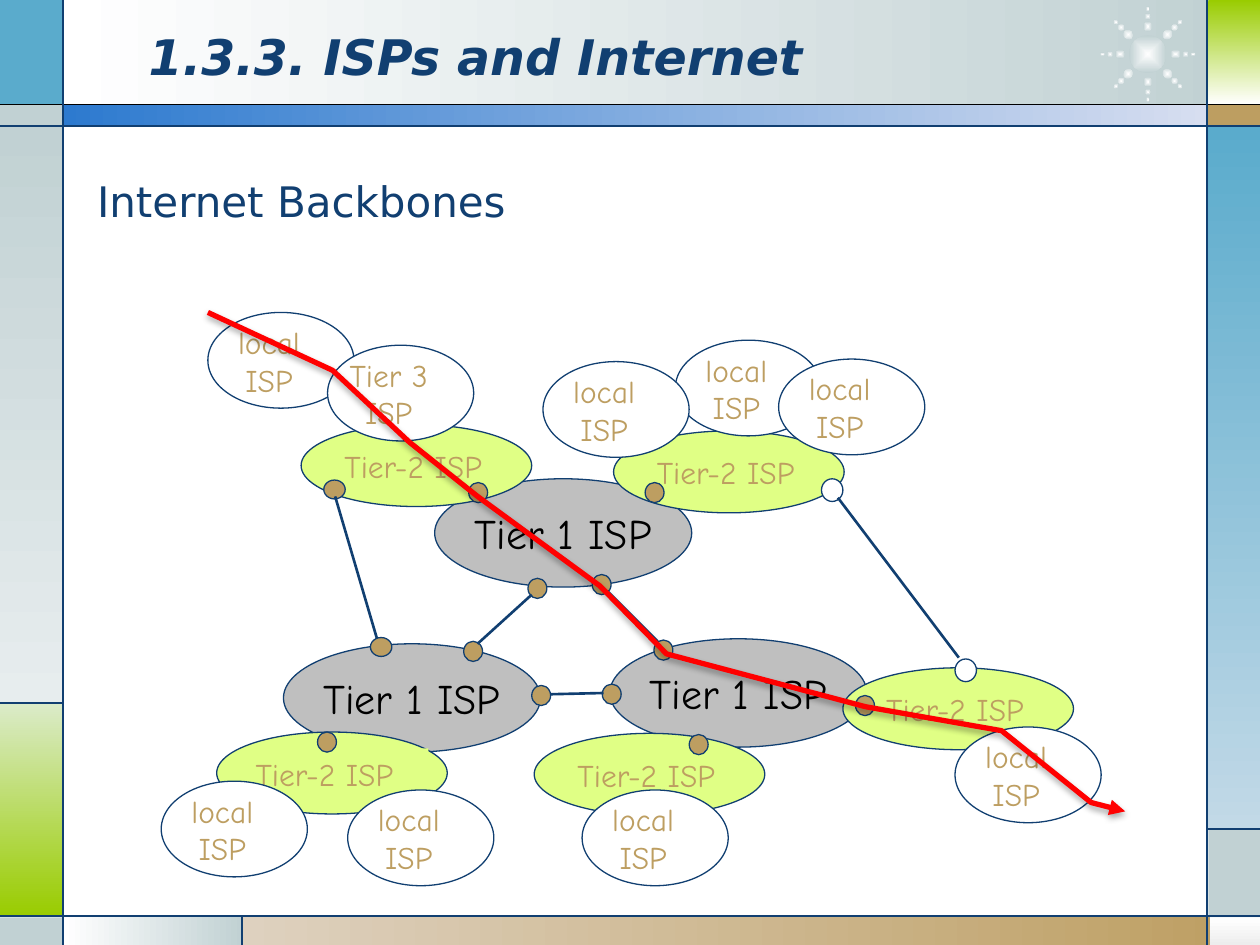
import math
import pptx
import pptx.dml.color
import pptx.enum.shapes
import pptx.enum.text
import pptx.oxml
import pptx.oxml.ns
import pptx.util

SHAPE = pptx.enum.shapes.MSO_SHAPE
ALIGN = pptx.enum.text.PP_ALIGN
ANCHOR = pptx.enum.text.MSO_ANCHOR
FIT = pptx.enum.text.MSO_AUTO_SIZE
qn = pptx.oxml.ns.qn

NAVY, TAN, MIST, LIME, GRAY = "113F71", "BD9E61", "C1D1D3", "E0FF85", "BFBFBF"
WHITE, BLACK, RED, SKY, LEAF = "FFFFFF", "000000", "FF0000", "5AABCC", "99CC00"
SANS, HAND = "DejaVu Sans", "Comic Neue"


def ink(code):
    return pptx.dml.color.RGBColor.from_string(code)


def put(thing, vals):
    for name, val in vals.items():
        setattr(thing, name, val)


def node(home, tag, **attrs):
    item = pptx.oxml.parse_xml(f'<{tag} {pptx.oxml.ns.nsdecls("a")}/>')
    for name, val in attrs.items():
        item.set(name, str(val))
    home.append(item)
    return item


class Page:
    """Style and current slide; lengths are cells of a 100 x 75 grid."""

    def __init__(self, deck):
        self.slide = deck.slides.add_slide(deck.slide_layouts[1])
        self.shapes = self.slide.shapes
        self.cell = deck.slide_width / 100

    def grid(self, *cells):
        return [pptx.util.Emu(round(c * self.cell)) for c in cells]

    def paint(self, shape, fill):
        if isinstance(fill, str):
            shape.fill.solid()
            shape.fill.fore_color.rgb = ink(fill)
            return
        first, last, turn = fill
        shape.fill.gradient()
        for stop, code in zip(shape.fill.gradient_stops, (first, last)):
            stop.color.rgb = ink(code)
        if turn is not None:
            shape.fill.gradient_angle = -turn % 360
            return
        # No angle: the gradient runs outward from the centre
        grad = shape._element.spPr.find(qn("a:gradFill"))
        grad.remove(grad.find(qn("a:lin")))
        way = node(grad, "a:path", path="shape")
        node(way, "a:fillToRect", l=50000, t=50000, r=50000, b=50000)

    def stroke(self, shape, code, width):
        shape.line.color.rgb = ink(code)
        shape.line.width = pptx.util.Pt(width)

    def block(self, box, fill, kind=SHAPE.RECTANGLE, edge=None):
        shape = self.shapes.add_shape(kind, *self.grid(*box))
        shape.shadow.inherit = False
        self.paint(shape, fill)
        if edge:
            self.stroke(shape, edge, 0.75)
        else:
            shape.line.fill.background()
        return shape

    def oval(self, box, fill, edge=NAVY):
        return self.block(box, fill, SHAPE.OVAL, edge)

    def dot(self, x, y, w=1.5, h=1.6, fill=TAN):
        self.oval((x, y, w, h), fill)

    def link(self, ends, code=NAVY, width=1.5):
        wire = self.shapes.add_connector(
            pptx.enum.shapes.MSO_CONNECTOR.STRAIGHT, *self.grid(*ends))
        self.stroke(wire, code, width)
        node(wire._element.spPr, "a:effectLst")

    def words(self, frame, lines, size, code, face=HAND, align=ALIGN.LEFT, **more):
        for i, line in enumerate(lines):
            para = frame.paragraphs[0] if i == 0 else frame.add_paragraph()
            para.alignment = align
            run = para.add_run()
            run.text = line
            put(run.font, {"size": pptx.util.Pt(size), "name": face, **more})
            run.font.color.rgb = ink(code)

    def label(self, box, lines, align=ALIGN.LEFT, fill=None):
        text = self.shapes.add_textbox(*self.grid(*box))
        if fill:
            self.paint(text, fill)
        put(text.text_frame, {"word_wrap": False, "auto_size": FIT.SHAPE_TO_FIT_TEXT})
        self.words(text.text_frame, lines, 18, TAN, align=align)

    def holder(self, slot, box, line, size, anchor, align, **more):
        put(slot, dict(zip(("left", "top", "width", "height"), self.grid(*box))))
        frame = slot.text_frame
        put(frame, {"word_wrap": True, "vertical_anchor": anchor, "auto_size": FIT.NONE})
        para = frame.paragraphs[0]
        props = para._p.get_or_add_pPr()
        put(para, {"space_before": pptx.util.Pt(0)})
        node(props, "a:buNone")
        props.set("marL", "0")
        props.set("indent", "0")
        self.words(frame, [line], size, NAVY, SANS, align, **more)
        self.shapes._spTree.append(slot._element)  # above the frame

    def core(self, x, y):
        frame = self.oval((x, y, 20.4, 8.6), GRAY).text_frame
        put(frame, {"word_wrap": False, "vertical_anchor": ANCHOR.MIDDLE})
        self.words(frame, ["Tier 1 ISP"], 24, BLACK, align=ALIGN.CENTER)

    def second(self, x, y, joint, shift=2.45, fill=None):
        self.oval((x, y, 18.3, 6.5), LIME)
        self.label((x + shift, y + 1.3, 14.7, 4), ["Tier-2 ISP"], fill=fill)
        self.dot(*joint)

    def local(self, x, y, name="local", shift=1.2, wide=7.3):
        self.oval((x, y, 11.6, 7.6), WHITE)
        self.label((x + shift, y + 0.33, wide, 7), [name, "ISP"], ALIGN.CENTER)

    def route(self, points):
        pts = [self.grid(*p) for p in points]
        pen = self.shapes.build_freeform(*pts[0])
        pen.add_line_segments(pts[1:], close=False)
        shape = pen.convert_to_shape()
        shape.fill.background()
        self.stroke(shape, RED, 3)
        node(shape._element.spPr.find(qn("a:ln")), "a:tailEnd", type="triangle")
        shape.shadow.inherit = False
        glow = node(shape._element.spPr.find(qn("a:effectLst")), "a:outerShdw",
                    blurRad=40000, dist=23000, dir=5400000, rotWithShape=0)
        node(node(glow, "a:srgbClr", val=BLACK), "a:alpha", val=35000)


def main():
    deck = pptx.Presentation()
    put(deck, {"slide_width": pptx.util.Inches(10), "slide_height": pptx.util.Inches(7.5)})
    page = Page(deck)

    # Frame panels
    for box, fill in [
        ((5, 0, 92.7, 8.4), (WHITE, MIST, 0)),
        ((0, 0, 5, 8.4), SKY),
        ((0, 8.3, 5, 1.7), MIST),
        ((0, 10, 5, 45.8), (MIST, "E7EDEE", 90)),
        ((0, 55.8, 5, 16.9), ("DBEBC9", LEAF, 90)),
        ((0, 72.8, 5, 2.2), MIST),
        ((5, 72.7, 14.3, 2.3), (WHITE, MIST, 0)),
        ((19.2, 72.7, 80.8, 2.3), ("DED1BF", TAN, 0)),
        ((96, 72.8, 4, 2.2), (WHITE, "EDEDED", 90)),
        ((95.9, 65.8, 4.1, 7), MIST),
        ((95.8, 10, 4.2, 55.8), (SKY, "C2D9E7", 90)),
        ((95.8, 8.3, 4.2, 1.7), TAN),
        ((95.9, 0, 4.1, 8.3), (LEAF, WHITE, 90)),
        ((5, 8.3, 90.9, 1.7), ("2D7ACF", "D7DEF0", 0)),
    ]:
        page.block(box, fill)

    # Star: a core and eight rays of three shrinking dots
    shine = (WHITE, MIST, None)
    page.oval((89.6, 2.8, 3, 3), shine, None)
    for ray in range(8):
        turn = math.radians(45 * ray)
        for reach, w, h in [(2.2, 0.8, 0.7), (3, 0.5, 0.5), (3.6, 0.4, 0.3)]:
            x, y = 91.1 + reach * math.cos(turn), 4.3 + reach * math.sin(turn)
            page.oval((x - w / 2, y - h / 2, w, h), shine, None).rotation = 45 * ray

    # Frame rules
    page.link((0, 8.3, 100, 8.3), BLACK, 0.75)
    for ends in [(0, 10, 100, 10), (0, 72.7, 100, 72.7), (5, 0, 5, 75),
                 (95.8, 0, 95.8, 75), (5, 55.8, 0, 55.8),
                 (19.2, 72.7, 19.2, 75), (95.8, 65.8, 100, 65.8)]:
        page.link(ends, width=0.75)

    # Title and heading
    page.holder(page.shapes.title, (10.8, 1.3, 73.3, 6.2), "1.3.3. ISPs and Internet",
                28, ANCHOR.MIDDLE, ALIGN.LEFT, bold=True, italic=True)
    page.holder(page.slide.placeholders[1], (6.7, 13.4, 87.7, 6.7), "Internet Backbones",
                24, ANCHOR.TOP, ALIGN.JUSTIFY)

    # Tier 1 triangle
    for spot in [(22.5, 51.1), (34.5, 38), (48.4, 50.7)]:
        page.core(*spot)
    for spot in [(51.9, 50.8), (47, 45.6), (41.9, 45.9),
                 (36.8, 50.9), (42.2, 54.4), (47.8, 54.3)]:
        page.dot(*spot)
    for ends in [(43.7, 55.1, 47.9, 55), (48.2, 46.9, 52.2, 50.9),
                 (37.9, 51.1, 42.2, 47.2)]:
        page.link(ends)

    # Tier 2 providers, each with its joint
    page.second(48.7, 34.2, (51.2, 38.3))
    page.second(23.9, 33.7, (37.2, 38.3))
    page.second(17.2, 58.1, (25.2, 58.1), 2.1, LIME)
    page.second(42.4, 58.2, (54.7, 58.3))
    page.second(66.9, 53, (67.9, 55.2))

    # Side links
    page.dot(25.7, 38.1, 1.7, 1.5)
    page.link((26.6, 39.4, 30.1, 51.3))
    page.dot(29.4, 50.6, 1.7, 1.5)
    for spot in [(65.2, 38), (75.8, 52.3)]:
        page.dot(*spot, 1.7, 1.8, WHITE)
    page.link((66.5, 39.5, 76.1, 52.2))

    # Local providers
    for spot in [(53.6, 27), (43.1, 28.7), (61.8, 28.5), (12.8, 62), (16.5, 24.8)]:
        page.local(*spot)
    page.local(26, 27.4, "Tier 3", 0.2, 9.3)
    for spot in [(27.6, 62.7), (46.2, 62.7), (75.8, 57.7)]:
        page.local(*spot)

    # Path of a packet
    page.route([(16.5, 24.8), (26.4, 29.4), (32.5, 35.1), (37.9, 39.4), (47.6, 46.5),
                (52.9, 51.9), (68.7, 56.1), (79.5, 58), (86.6, 63.7), (89.3, 64.4)])

    deck.save("out.pptx")


if __name__ == "__main__":
    main()
